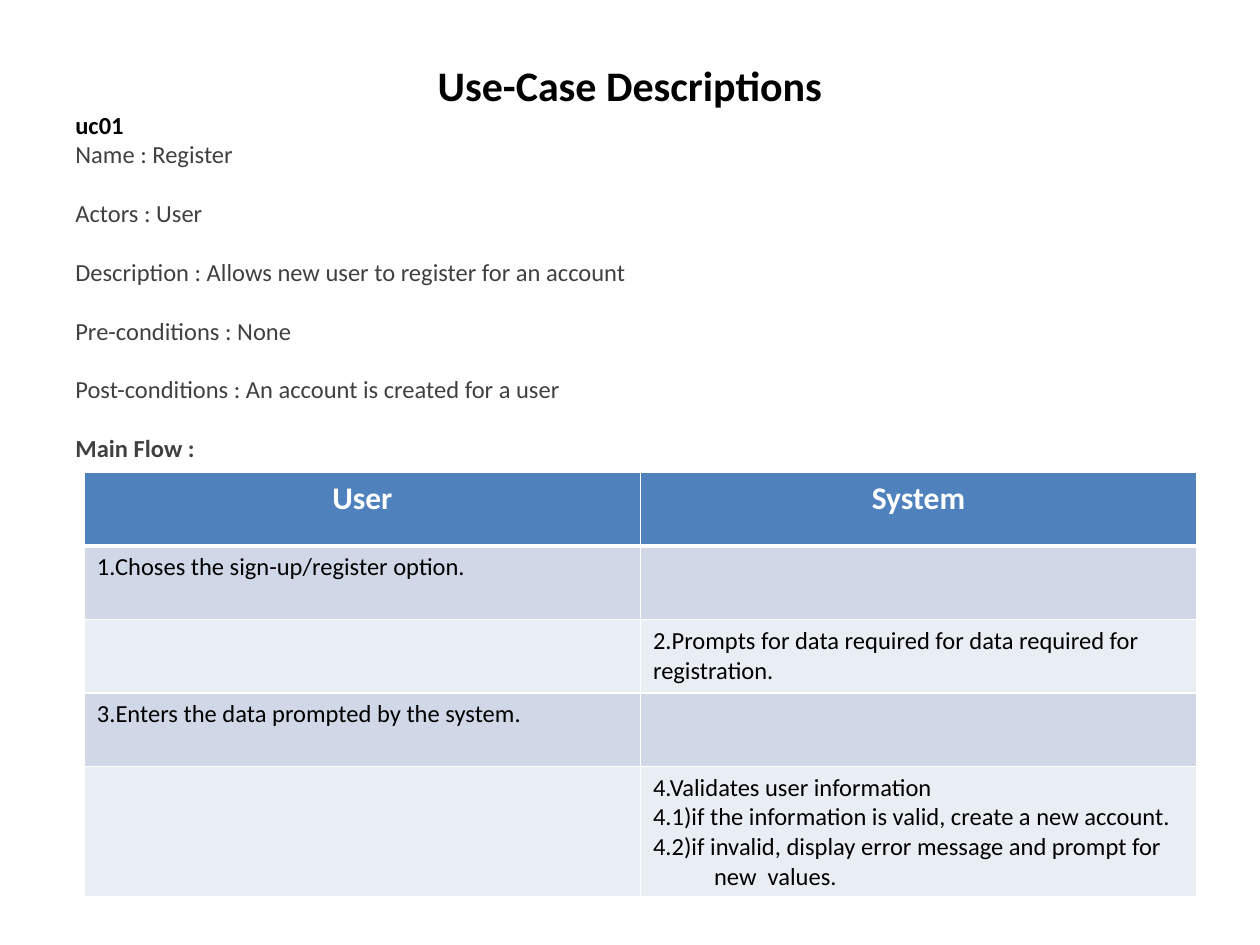
import lxml.etree
import pptx
import pptx.dml.color
import pptx.enum.text
import pptx.oxml.ns
import pptx.util

Cm = pptx.util.Cm
Pt = pptx.util.Pt
COLORS = {
    "black": "000000",
    "gray": "404040",
    "white": "FFFFFF",
    "header": "4F81BD",
    "odd": "D0D8E8",
    "even": "E9EDF4",
}


def format_para(para, size, color, bold=False, centered=False):
    if centered:
        para.alignment = pptx.enum.text.PP_ALIGN.CENTER
    for span in para.runs:
        span.font.name = "Calibri"
        span.font.size = Pt(size)
        span.font.bold = bold
        span.font.color.rgb = pptx.dml.color.RGBColor.from_string(COLORS[color])


def add_border(cell, side, width):
    properties = cell._tc.get_or_add_tcPr()
    line = lxml.etree.SubElement(properties, pptx.oxml.ns.qn("a:ln" + side), w=str(Pt(width)))
    fill = lxml.etree.SubElement(line, pptx.oxml.ns.qn("a:solidFill"))
    lxml.etree.SubElement(fill, pptx.oxml.ns.qn("a:srgbClr"), val=COLORS["white"])


deck = pptx.Presentation()
deck.slide_width = Cm(25.4)
deck.slide_height = Cm(19.05)
page = deck.slides.add_slide(deck.slide_layouts[6])

description = [
    ("Use-Case Descriptions", 24, "black", True, 0),
    ("uc01", 14, "black", True, 0),
    ("Name : Register", 14, "gray", False, 16.8),
    ("Actors : User", 14, "gray", False, 16.8),
    ("Description : Allows new user to register for an account", 14, "gray", False, 16.8),
    ("Pre-conditions : None", 14, "gray", False, 16.8),
    ("Post-conditions : An account is created for a user", 14, "gray", False, 16.8),
    ("Main Flow :", 14, "gray", True, 0),
]
box = page.shapes.add_textbox(Cm(1.27), Cm(1.07), Cm(22.86), Cm(17.6))
box.text_frame.word_wrap = True
box.text_frame.text = "\n".join(entry[0] for entry in description)
for para, (text, size, color, bold, gap) in zip(box.text_frame.paragraphs, description):
    format_para(para, size, color, bold, centered=size == 24)
    para.space_after = Pt(gap)

flow = [
    ("User", "System"),
    ("1.Choses the sign-up/register option.", ""),
    ("", "2.Prompts for data required for data required for registration."),
    ("3.Enters the data prompted by the system.", ""),
    ("", "4.Validates user information\n"
         "4.1)if the information is valid, create a new account.\n"
         "4.2)if invalid, display error message and prompt for new  values."),
]
row_heights = [1.48] * 4 + [2.6]
table = page.shapes.add_table(
    len(flow), 2, Cm(1.7), Cm(9.53), Cm(22.42), Cm(sum(row_heights))
).table
for column in table.columns:
    column.width = Cm(11.21)

for row_index, texts in enumerate(flow):
    table.rows[row_index].height = Cm(row_heights[row_index])
    is_header = row_index == 0
    fill_name = "header" if is_header else "odd" if row_index % 2 else "even"
    for column_index, text in enumerate(texts):
        cell = table.cell(row_index, column_index)
        cell.text_frame.text = text
        for para in cell.text_frame.paragraphs:
            if is_header:
                format_para(para, 18, "white", bold=True, centered=True)
            else:
                format_para(para, 14, "black")
        for side in "LRTB":
            thick = (row_index, side) in [(0, "B"), (1, "T")]
            add_border(cell, side, 3 if thick else 1)
        cell.fill.solid()
        cell.fill.fore_color.rgb = pptx.dml.color.RGBColor.from_string(COLORS[fill_name])

last_para = table.cell(4, 1).text_frame.paragraphs[-1]
hanging = last_para._p.get_or_add_pPr()
hanging.set("marL", str(Cm(1.23)))
hanging.set("indent", str(-Cm(1.23)))

deck.save("out.pptx")
